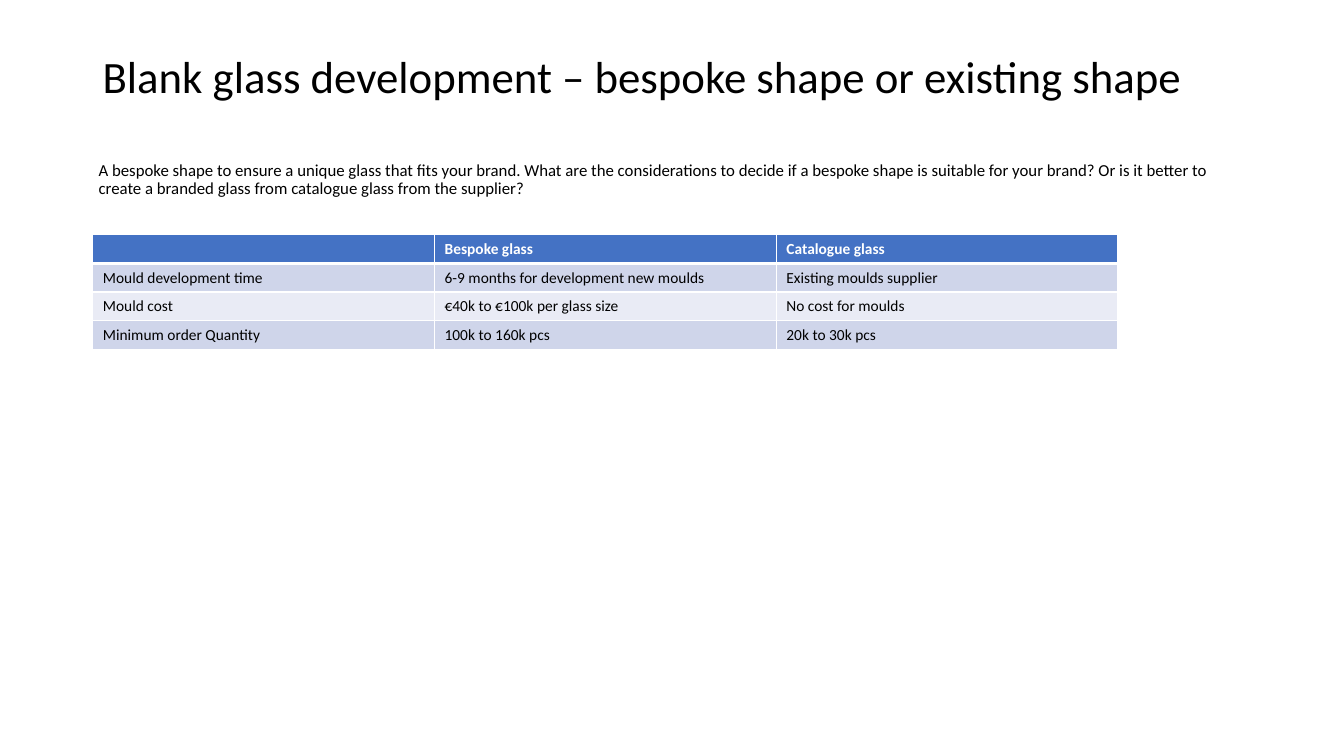
from lxml.etree import SubElement
from pptx import Presentation
from pptx.dml.color import RGBColor
from pptx.enum.text import MSO_ANCHOR
from pptx.oxml.ns import qn
from pptx.util import Inches, Pt

COLORS = {"text": "000000", "white": "FFFFFF", "header": "4472C4",
          "odd_row": "CFD5EA", "even_row": "E9EBF5"}
FONT = "Calibri"

TEXTS = [
    {"text": "Blank glass development – bespoke shape or existing shape",
     "box": (0.92, 0.4, 11.5, 0.77), "size": 32, "anchor": MSO_ANCHOR.MIDDLE},
    {"text": "A bespoke shape to ensure a unique glass that fits your brand. "
             "What are the considerations to decide if a bespoke shape is suitable "
             "for your brand? Or is it better to create a branded glass from "
             "catalogue glass from the supplier?",
     "box": (0.88, 1.56, 11.5, 0.61), "size": 12, "anchor": MSO_ANCHOR.TOP},
]
ROWS = [
    ("", "Bespoke glass", "Catalogue glass"),
    ("Mould development time", "6-9 months for development new moulds",
     "Existing moulds supplier"),
    ("Mould cost", "€40k to €100k per glass size", "No cost for moulds"),
    ("Minimum order Quantity", "100k to 160k pcs", "20k to 30k pcs"),
]
TABLE_LEFT, TABLE_TOP = 0.92, 2.33
COLUMN_WIDTH, ROW_HEIGHT = 3.39, 0.28
CELL_SIZE = 11


def write(paragraph, text, size, color, bold=False):
    if not text:
        # An empty cell keeps its row low only if its end mark is small too.
        SubElement(paragraph._p, qn("a:endParaRPr"), sz=str(size * 100))
        return
    run = paragraph.add_run()
    run.text = text
    formats = {"name": FONT, "size": Pt(size), "bold": bold}
    for name, value in formats.items():
        setattr(run.font, name, value)
    run.font.color.rgb = RGBColor.from_string(COLORS[color])


def add_text(slide, text, box, size, anchor):
    frame = slide.shapes.add_textbox(*map(Inches, box)).text_frame
    frame.word_wrap = True
    frame.vertical_anchor = anchor
    paragraph = frame.paragraphs[0]
    paragraph.line_spacing = 0.9
    write(paragraph, text, size, "text")


def set_borders(cell, widths):
    """Draw white cell borders; widths maps a side (L, R, T, B) to points."""
    properties = cell._tc.get_or_add_tcPr()
    for position, (side, width) in enumerate(widths.items()):
        line = properties.makeelement(qn(f"a:ln{side}"), {"w": str(Pt(width))})
        fill = SubElement(line, qn("a:solidFill"))
        SubElement(fill, qn("a:srgbClr"), val=COLORS["white"])
        properties.insert(position, line)


def add_table(slide):
    column_count = len(ROWS[0])
    table = slide.shapes.add_table(
        len(ROWS), column_count, Inches(TABLE_LEFT), Inches(TABLE_TOP),
        Inches(COLUMN_WIDTH * column_count), Inches(ROW_HEIGHT * len(ROWS))).table
    for row_index, row in enumerate(ROWS):
        is_header = row_index == 0
        fill = "header" if is_header else "odd_row" if row_index % 2 else "even_row"
        widths = {"L": 1, "R": 1, "T": 3 if row_index == 1 else 1,
                  "B": 3 if is_header else 1}
        for column_index, text in enumerate(row):
            cell = table.cell(row_index, column_index)
            cell.fill.solid()
            cell.fill.fore_color.rgb = RGBColor.from_string(COLORS[fill])
            set_borders(cell, widths)
            write(cell.text_frame.paragraphs[0], text, CELL_SIZE,
                  "white" if is_header else "text", is_header)


def main():
    presentation = Presentation()
    presentation.slide_width = Inches(13.33)
    presentation.slide_height = Inches(7.5)
    slide = presentation.slides.add_slide(presentation.slide_layouts[6])
    for item in TEXTS:
        add_text(slide, **item)
    add_table(slide)
    presentation.save("out.pptx")


if __name__ == "__main__":
    main()
